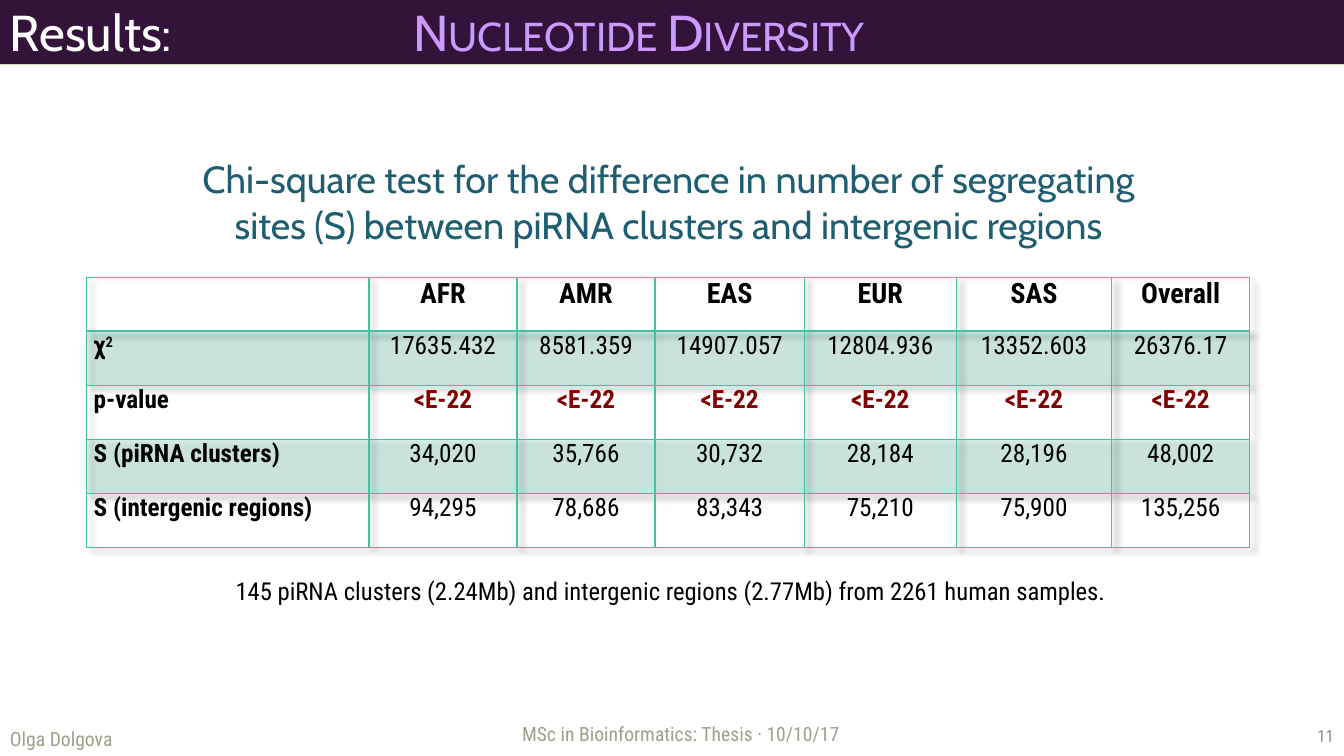
from lxml.etree import SubElement as Sub
from pptx import Presentation
from pptx.dml.color import RGBColor
from pptx.enum.shapes import MSO_SHAPE as Shape
from pptx.enum.text import MSO_ANCHOR as Anchor, MSO_AUTO_SIZE as Auto, PP_ALIGN as Align
from pptx.oxml.ns import qn
from pptx.util import Pt

HEAD, BODY = "Cabin", "Roboto Condensed"
TEAL = "44C1A3"
COLS = [201.6, 105.8, 98.6, 106.6, 108.7, 110.9, 98.6]
ROWS = [
    ["", "AFR", "AMR", "EAS", "EUR", "SAS", "Overall"],
    ["χ", "17635.432", "8581.359", "14907.057", "12804.936", "13352.603", "26376.17"],
    ["p-value"] + ["<E-22"] * 6,
    ["S (piRNA clusters)", "34,020", "35,766", "30,732", "28,184", "28,196", "48,002"],
    ["S (intergenic regions)", "94,295", "78,686", "83,343", "75,210", "75,900", "135,256"],
]


def rgb(code):
    """Turn a hex string into a colour."""
    return RGBColor.from_string(code)


def style(font, face, size, color, bold=False):
    """Set the face, size, colour and weight of a font."""
    font.name, font.size, font.bold = face, Pt(size), bold
    font.color.rgb = rgb(color)


def place(shape, box):
    """Move a shape to a box given in points."""
    shape.left, shape.top, shape.width, shape.height = map(Pt, box)


def write(shape, text, face, size, color, align=Align.LEFT, anchor=Anchor.MIDDLE):
    """Fill a shape with one styled paragraph and return it."""
    frame = shape.text_frame
    frame.word_wrap, frame.auto_size = True, Auto.NONE
    frame.vertical_anchor = anchor
    frame.text = text
    para = frame.paragraphs[0]
    para.alignment = align
    style(para.font, face, size, color)
    return para


def label(slide, box, *args):
    """Add a text box and return its paragraph."""
    return write(slide.shapes.add_textbox(*map(Pt, box)), *args)


def block(slide, box, color):
    """Add a plain filled rectangle."""
    shape = slide.shapes.add_shape(Shape.RECTANGLE, *map(Pt, box))
    shape.shadow.inherit = False
    shape.fill.solid()
    shape.fill.fore_color.rgb = rgb(color)
    shape.line.fill.background()
    return shape


def banner(slide, box):
    """Draw the dark bar with its green edge and section heading."""
    x, y, w, h = box
    block(slide, (x, y - 1.4, w, h + 2.1), "63A537")
    bar = block(slide, box, "331339")
    bar.line.color.rgb = rgb("331339")
    bar.line.width = Pt(1)
    para = write(bar, "Results:\t", HEAD, 36, "FFFFFF")
    stops = Sub(para._p.get_or_add_pPr(), qn("a:tabLst"))
    para._p.pPr.insert(0, stops)
    Sub(stops, qn("a:tab"), pos=str(Pt(288)), algn="l")
    topic = para.add_run()
    topic.text = "Nucleotide Diversity"
    topic.font.color.rgb = rgb("CC99FF")
    topic.font._element.set("cap", "small")


def edge(cell, row):
    """Draw teal borders, heavier below the header row."""
    props = cell._tc.get_or_add_tcPr()
    heavy = {(0, "B"), (1, "T")}
    for side in "LRTB":
        width = Pt(2 if (row, side) in heavy else 1)
        line = Sub(props, qn("a:ln" + side), w=str(width))
        Sub(Sub(line, qn("a:solidFill")), qn("a:srgbClr"), val=TEAL)


def paint(cell, row):
    """Tint every second row and leave the others clear."""
    if row % 2 == 0:
        cell.fill.background()
        return
    cell.fill.solid()
    cell.fill.fore_color.rgb = rgb(TEAL)
    tint = cell._tc.tcPr.find(".//" + qn("a:solidFill") + "/" + qn("a:srgbClr") + "[last()]")
    tint = cell._tc.tcPr.find(qn("a:solidFill"))[0]
    Sub(tint, qn("a:alpha"), val="20000")


def shade(table):
    """Give the table a soft shadow."""
    props = table._tbl.tblPr
    fx = Sub(props, qn("a:effectLst"))
    props.insert(0, fx)
    cast = Sub(fx, qn("a:outerShdw"), blurRad=str(Pt(4)), dist=str(Pt(3)),
               dir="2700000", algn="tl", rotWithShape="0")
    Sub(Sub(cast, qn("a:srgbClr"), val="000000"), qn("a:alpha"), val="40000")


def grid(slide, box):
    """Build the table of test results."""
    table = slide.shapes.add_table(len(ROWS), len(COLS), *map(Pt, box)).table
    table.first_row = table.horz_banding = False
    shade(table)
    for col, width in zip(table.columns, COLS):
        col.width = Pt(width)
    for r, texts in enumerate(ROWS):
        table.rows[r].height = Pt(box[3] / len(ROWS))
        for c, text in enumerate(texts):
            cell = table.cell(r, c)
            cell.margin_left = cell.margin_right = Pt(5)
            cell.margin_top = cell.margin_bottom = 0
            cell.text = text
            para = cell.text_frame.paragraphs[0]
            para.alignment = Align.CENTER if c else Align.LEFT
            color = "800000" if r == 2 and c else "000000"
            bold = c == 0 or r in (0, 2)
            style(para.font, BODY, 18 if r else 20, color, bold)
            edge(cell, r)
            paint(cell, r)
    power = table.cell(1, 0).text_frame.paragraphs[0].add_run()
    power.text = "2"
    power.font._element.set("baseline", "30000")


def footer(slide, box):
    """Write the author, event and slide number."""
    x, y, w, h = box
    label(slide, (x, y + 10.8, 114.5, 24.5), "Olga Dolgova", BODY, 14, "A19E8C",
          Align.LEFT, Anchor.TOP)
    label(slide, (x + w - 216, y + 6.5, 216, 28.8), "11", BODY, 12, "8C8C8C", Align.RIGHT)
    label(slide, (x + 365.8, y, 277, h), "MSc in Bioinformatics: Thesis · 10/10/17",
          BODY, 14, "A19E8C")


def main():
    """Build the slide and save it."""
    deck = Presentation()
    deck.slide_width, deck.slide_height = Pt(960), Pt(540)
    slide = deck.slides.add_slide(deck.slide_layouts[5])
    title = slide.shapes.title
    place(title, (126, 97.2, 702.7, 82.8))
    write(title, "Chi-square test for the difference in number of segregating sites (S) "
          "between piRNA clusters and intergenic regions",
          HEAD, 27, "1E5E70", Align.CENTER, Anchor.BOTTOM)
    banner(slide, (0, -0.7, 960, 46.1))
    grid(slide, (61.9, 198, sum(COLS), 193))
    note = label(slide, (106.6, 400.3, 745.9, 36),
                 "145 piRNA clusters (2.24Mb) and intergenic regions (2.77Mb) "
                 "from 2261 human samples.",
                 BODY, 17.6, "000000", Align.CENTER, Anchor.BOTTOM)
    note.line_spacing = 1.2
    footer(slide, (0, 504.7, 960, 38.2))
    deck.save("out.pptx")


if __name__ == "__main__":
    main()
